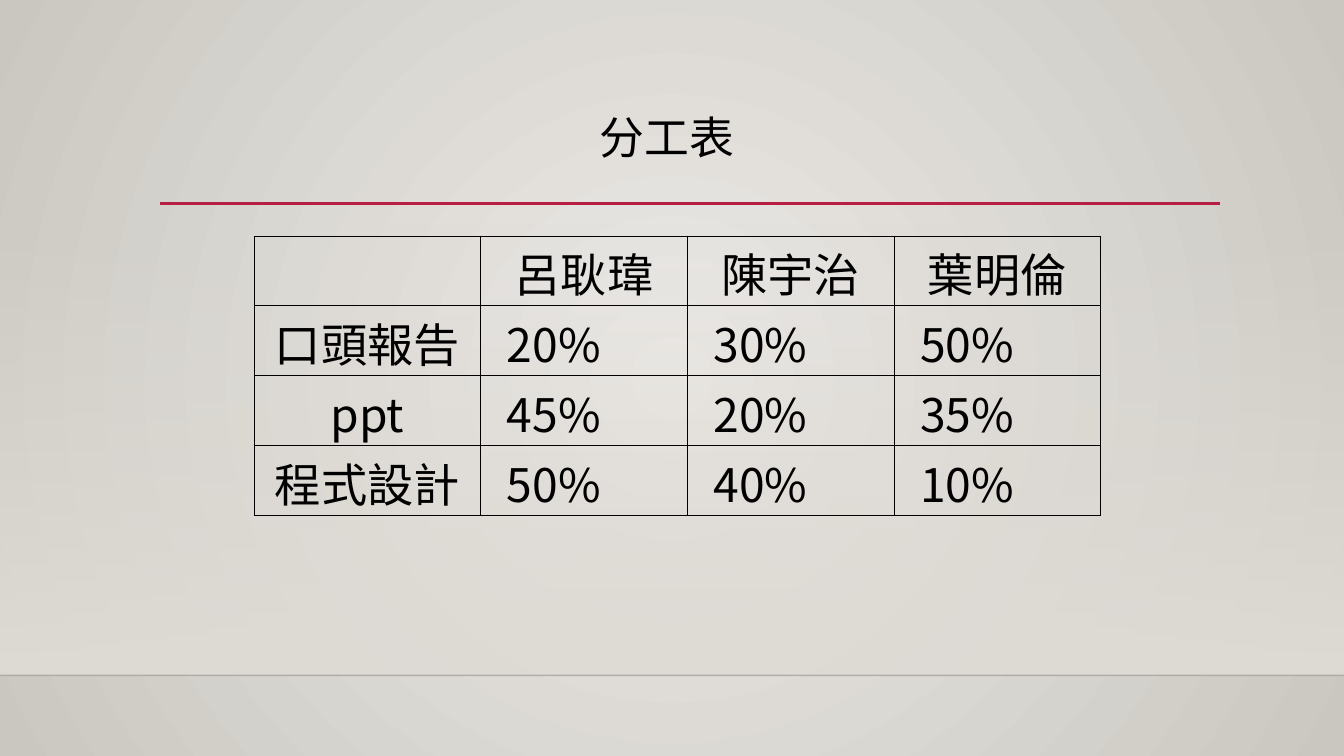
from lxml import etree
from pptx import Presentation
from pptx.dml.color import RGBColor
from pptx.enum.shapes import MSO_CONNECTOR, MSO_SHAPE
from pptx.enum.text import MSO_ANCHOR, PP_ALIGN
from pptx.oxml.ns import qn
from pptx.util import Inches, Pt

STRAIGHT = MSO_CONNECTOR.STRAIGHT
RECTANGLE = MSO_SHAPE.RECTANGLE
MIDDLE = MSO_ANCHOR.MIDDLE
TOP = MSO_ANCHOR.TOP
CENTER = PP_ALIGN.CENTER
LEFT = PP_ALIGN.LEFT

BLACK = RGBColor(0x00, 0x00, 0x00)
RED = RGBColor(0xB7, 0x1E, 0x42)
WALL_LIGHT = RGBColor(0xEC, 0xEA, 0xE7)
WALL_DARK = RGBColor(0xCA, 0xC7, 0xC1)
FLOOR_GLOW = RGBColor(0xDF, 0xDB, 0xD5)

COLUMNS, ROWS = 160, 90
SLIDE_WIDTH, SLIDE_HEIGHT = Inches(13.33), Inches(7.5)
FLOOR_ROW = 80.4
CJK_FONT = "Noto Sans CJK TC"

TITLE_FORMAT = {"name": "Cabin", "size": Pt(32)}
CELL_FORMAT = {"name": CJK_FONT, "size": Pt(33)}
CELL_MARGINS = {
    "margin_left": Inches(0.03),
    "margin_right": Inches(0.03),
    "margin_top": Inches(0.03),
    "margin_bottom": 0,
}
# The percentages sit left of the middle of their cells.
PERCENT_MARGINS = {**CELL_MARGINS, "margin_right": Inches(0.63)}

WORK_SHARES = [
    ["", "呂耿瑋", "陳宇治", "葉明倫"],
    ["口頭報告", "20%", "30%", "50%"],
    ["ppt", "45%", "20%", "35%"],
    ["程式設計", "50%", "40%", "10%"],
]


def apply(target, values):
    for name, value in values.items():
        setattr(target, name, value)


def add_alpha(color_element, percent):
    etree.SubElement(color_element, qn("a:alpha"), val=str(percent * 1000))


class SlideBuilder:
    def __init__(self, presentation):
        self.slide = presentation.slides.add_slide(presentation.slide_layouts[6])
        self.shapes = self.slide.shapes

    @staticmethod
    def across(columns):
        return round(SLIDE_WIDTH * columns / COLUMNS)

    @staticmethod
    def down(rows):
        return round(SLIDE_HEIGHT * rows / ROWS)

    def box(self, left, top, width, height):
        return self.across(left), self.down(top), self.across(width), self.down(height)

    @staticmethod
    def gradient(fill, colors):
        fill.gradient()
        for stop, color, position in zip(fill.gradient_stops, colors, (0, 1)):
            stop.color.rgb = color
            stop.position = position

    def radial_background(self, center, edge):
        self.gradient(self.slide.background.fill, (center, edge))
        gradient = next(self.slide.element.iter(qn("a:gradFill")))
        gradient.remove(gradient.find(qn("a:lin")))
        circle = etree.SubElement(gradient, qn("a:path"), {"path": "circle"})
        etree.SubElement(circle, qn("a:fillToRect"), dict.fromkeys("ltrb", "50000"))

    def fading_band(self, area, color):
        """Add a rectangle that goes from clear at the top to solid below."""
        band = self.shapes.add_shape(RECTANGLE, *self.box(*area))
        band.shadow.inherit = False
        band.line.fill.background()
        self.gradient(band.fill, (color, color))
        band.fill.gradient_angle = 270
        add_alpha(next(band.element.iter(qn("a:srgbClr"))), 0)

    def rule(self, left, right, row, color, width, alpha=100):
        connector = self.shapes.add_connector(
            STRAIGHT, self.across(left), self.down(row),
            self.across(right), self.down(row))
        connector.line.color.rgb = color
        connector.line.width = Pt(width)
        if alpha < 100:
            add_alpha(next(connector.element.iter(qn("a:srgbClr"))), alpha)
        etree.SubElement(connector.element.spPr, qn("a:effectLst"))

    @staticmethod
    def add_text(text_frame, text, font_format, alignment):
        paragraph = text_frame.paragraphs[0]
        paragraph.alignment = alignment
        run = paragraph.add_run()
        run.text = text
        run.font.color.rgb = BLACK
        apply(run.font, font_format)
        latin = next(run.font._element.iter(qn("a:latin")))
        latin.addnext(latin.makeelement(qn("a:ea"), {"typeface": CJK_FONT}))
        return paragraph

    def title(self, area, text):
        text_frame = self.shapes.add_textbox(*self.box(*area)).text_frame
        apply(text_frame, {"word_wrap": True, "vertical_anchor": TOP})
        self.add_text(text_frame, text, TITLE_FORMAT, LEFT).line_spacing = 0.9

    @staticmethod
    def cell_borders(cell, color, width):
        properties = cell._tc.get_or_add_tcPr()
        for index, side in enumerate(("lnL", "lnR", "lnT", "lnB")):
            border = properties.makeelement(qn(f"a:{side}"), {"w": str(int(Pt(width)))})
            solid = etree.SubElement(border, qn("a:solidFill"))
            etree.SubElement(solid, qn("a:srgbClr"), val=str(color))
            properties.insert(index, border)

    def table(self, left, top, column_widths, row_height, values):
        area = self.box(left, top, sum(column_widths), row_height * len(values))
        table = self.shapes.add_table(len(values), len(column_widths), *area).table
        apply(table, {"first_row": False, "horz_banding": False})
        for column, width in zip(table.columns, column_widths):
            column.width = self.across(width)
        for row, texts in zip(table.rows, values):
            row.height = self.down(row_height)
            for cell, text in zip(row.cells, texts):
                cell.fill.background()
                self.cell_borders(cell, BLACK, 0.5)
                cell.vertical_anchor = MIDDLE
                apply(cell, PERCENT_MARGINS if text.endswith("%") else CELL_MARGINS)
                if text:
                    self.add_text(cell.text_frame, text, CELL_FORMAT, CENTER)


def main():
    presentation = Presentation()
    apply(presentation, {"slide_width": SLIDE_WIDTH, "slide_height": SLIDE_HEIGHT})
    builder = SlideBuilder(presentation)
    builder.radial_background(WALL_LIGHT, WALL_DARK)
    builder.fading_band((0, 26.5, COLUMNS, FLOOR_ROW - 26.5), FLOOR_GLOW)
    builder.rule(0, COLUMNS, FLOOR_ROW, BLACK, 1, alpha=20)
    builder.rule(19.08, 145.2, 24.24, RED, 2.5)
    builder.table(30.24, 28.08, [27, 24.6, 24.6, 24.6], 7.54, WORK_SHARES)
    builder.title((70.2, 13.2, 20.88, 9.6), "分工表")
    presentation.save("out.pptx")


if __name__ == "__main__":
    main()
